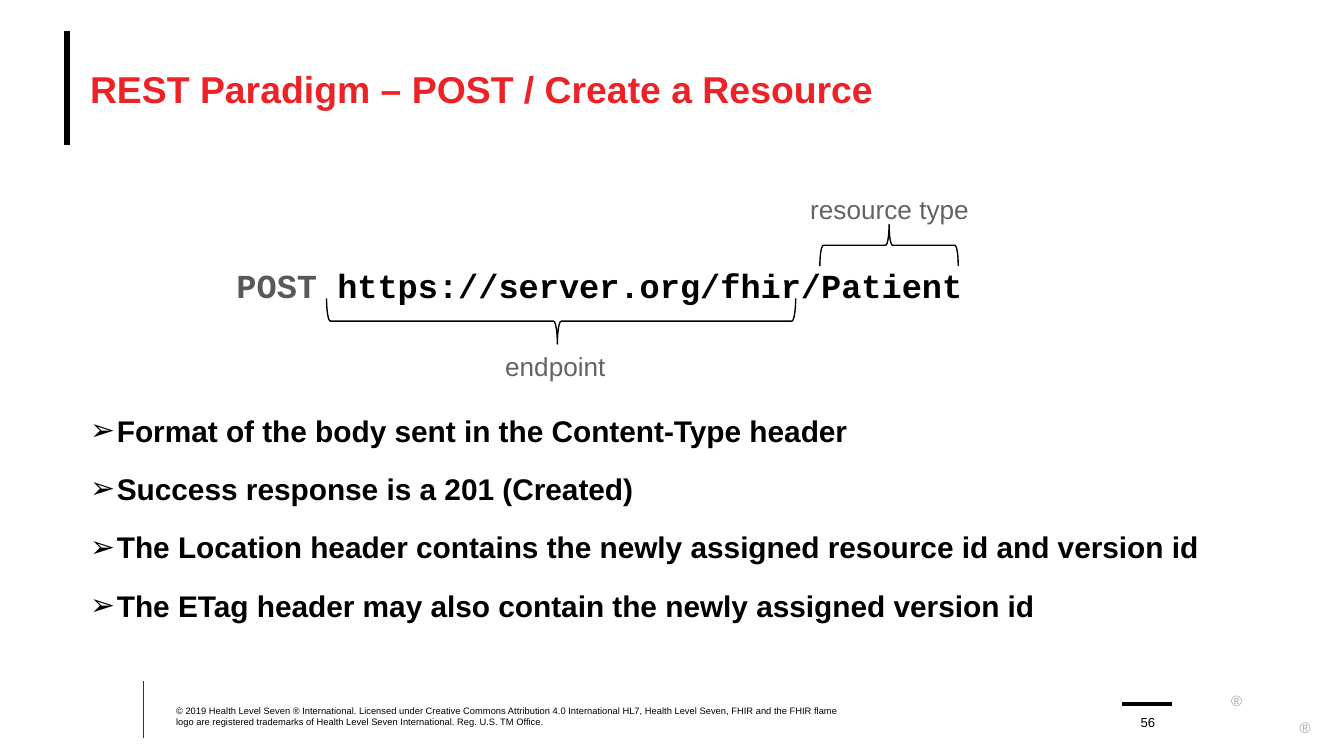
from dataclasses import dataclass

from lxml.etree import SubElement
from pptx import Presentation
from pptx.dml.color import RGBColor
from pptx.enum.shapes import MSO_CONNECTOR, MSO_SHAPE
from pptx.enum.text import MSO_ANCHOR, PP_ALIGN
from pptx.oxml.ns import qn
from pptx.util import Inches, Pt


@dataclass(frozen=True)
class Theme:
    sans: str = "Arial"
    mono: str = "Courier New"
    black: str = "000000"
    red: str = "EC2227"
    verb_gray: str = "595959"
    label_gray: str = "636360"
    mark_gray: str = "A6A6A6"
    rule_brown: str = "3D3029"
    title_size: float = 20
    request_size: float = 18
    bullet_size: float = 16
    label_size: float = 14
    mark_size: float = 8
    number_size: float = 7
    legal_size: float = 5


THEME = Theme()

BULLETS = (
    "Format of the body sent in the Content-Type header",
    "Success response is a 201 (Created)",
    "The Location header contains the newly assigned resource id and version id",
    "The ETag header may also contain the newly assigned version id",
)
LEGAL = (
    "© 2019 Health Level Seven ® International. Licensed under Creative Commons "
    "Attribution 4.0 International HL7, Health Level Seven, FHIR and the FHIR flame "
    "logo are registered trademarks of Health Level Seven International. "
    "Reg. U.S. TM Office."
)


def add_text_frame(slide, box, inset_x=0, inset_y=0, **frame_format):
    frame = slide.shapes.add_textbox(*map(Inches, box)).text_frame
    settings = {
        "word_wrap": True,
        "margin_left": Inches(inset_x),
        "margin_right": Inches(inset_x),
        "margin_top": Inches(inset_y),
        "margin_bottom": Inches(inset_y),
        **frame_format,
    }
    for name, value in settings.items():
        setattr(frame, name, value)
    return frame


def add_run(paragraph, text, size, color, font=THEME.sans, bold=False):
    run = paragraph.add_run()
    run.text = text
    for name, value in {"name": font, "size": Pt(size), "bold": bold}.items():
        setattr(run.font, name, value)
    run.font.color.rgb = RGBColor.from_string(color)


def add_rule(slide, start, end, width, color=THEME.black):
    rule = slide.shapes.add_connector(
        MSO_CONNECTOR.STRAIGHT, *map(Inches, (*start, *end)))
    rule.line.width = Pt(width)
    rule.line.color.rgb = RGBColor.from_string(color)
    SubElement(rule._element.spPr, qn("a:effectLst"))


def add_brace(slide, box, rotation, point):
    """Fit a sideways brace into the box it covers on the slide."""
    left, top, span, depth = box
    brace = slide.shapes.add_shape(
        MSO_SHAPE.LEFT_BRACE,
        Inches(left + (span - depth) / 2), Inches(top + (depth - span) / 2),
        Inches(depth), Inches(span))
    brace.rotation = rotation
    brace.adjustments[0] = 0.083
    brace.adjustments[1] = point
    brace.shadow.inherit = False
    brace.fill.background()
    brace.line.width = Pt(0.75)
    brace.line.color.rgb = RGBColor.from_string(THEME.black)


def add_label(slide, box, text):
    frame = add_text_frame(slide, box, 0.1, 0.05, word_wrap=False)
    add_run(frame.paragraphs[0], text, THEME.label_size, THEME.label_gray)


def add_header(slide, box):
    left, top, width, height = box
    add_rule(slide, (left, top), (left, top + height - 0.01), 3.25)
    frame = add_text_frame(slide, (left + 0.17, top, width - 0.17, height),
                           vertical_anchor=MSO_ANCHOR.MIDDLE)
    add_run(frame.paragraphs[0], "REST Paradigm – POST / Create a Resource",
            THEME.title_size, THEME.red, bold=True)


def add_request_diagram(slide, box):
    left, top, width, _ = box
    # Request line
    frame = add_text_frame(slide, (left, top + 0.58, width, 0.31))
    request = frame.paragraphs[0]
    for text, color in (("POST", THEME.verb_gray),
                        (" https://server.org/fhir/Patient", THEME.black)):
        add_run(request, text, THEME.request_size, color, THEME.mono, bold=True)
    # Braces and the parts they name
    add_brace(slide, (left + 0.67, top + 0.83, 3.49, 0.34), 270, 0.492)
    add_label(slide, (left + 1.9, top + 1.17, 0.95, 0.34), "endpoint")
    add_brace(slide, (left + 4.34, top + 0.28, 1.03, 0.31), 90, 0.5)
    add_label(slide, (left + 4.17, top, 1.39, 0.34), "resource type")


def add_bullets(slide, box):
    frame = add_text_frame(slide, box)
    for index, text in enumerate(BULLETS):
        bullet = frame.add_paragraph() if index else frame.paragraphs[0]
        bullet.space_before = Pt(6 if index else 0)
        bullet.space_after = Pt(6)
        properties = bullet._p.get_or_add_pPr()
        properties.set("marL", str(Inches(0.2)))
        properties.set("indent", str(Inches(-0.2)))
        SubElement(properties, qn("a:buFont"), typeface=THEME.sans)
        SubElement(properties, qn("a:buChar"), char="➢")
        add_run(bullet, text, THEME.bullet_size, THEME.black, bold=True)


def add_footer(slide, box):
    left, top, _, _ = box
    # Legal notice
    add_rule(slide, (left, top), (left, top + 0.42), 0.5, THEME.rule_brown)
    notice = add_text_frame(slide, (left + 0.24, top + 0.17, 4.95, 0.17),
                            vertical_anchor=MSO_ANCHOR.BOTTOM)
    add_run(notice.paragraphs[0], LEGAL, THEME.legal_size, THEME.black)
    # Page number
    add_rule(slide, (left + 7.28, top + 0.17), (left + 7.65, top + 0.17), 2)
    number = add_text_frame(slide, (left + 7.32, top + 0.17, 0.3, 0.19),
                            vertical_anchor=MSO_ANCHOR.BOTTOM)
    number.paragraphs[0].alignment = PP_ALIGN.CENTER
    add_run(number.paragraphs[0], "56", THEME.number_size, THEME.black)
    # Registered marks
    for x, y in ((8.09, 0.03), (8.6, 0.23)):
        mark = add_text_frame(slide, (left + x, top + y, 0.1, 0.22),
                              inset_y=0.05, word_wrap=False)
        add_run(mark.paragraphs[0], "®", THEME.mark_size, THEME.mark_gray)


def main():
    deck = Presentation()
    # Widescreen, 16:9
    deck.slide_width = Inches(10)
    deck.slide_height = deck.slide_width * 9 // 16
    slide = deck.slides.add_slide(deck.slide_layouts[6])
    add_header(slide, (0.5, 0.23, 9.17, 0.86))
    add_request_diagram(slide, (1.76, 1.39, 5.7, 1.51))
    add_bullets(slide, (0.67, 3.07, 9, 1.09))
    add_footer(slide, (1.07, 5.07, 8.7, 0.42))
    deck.save("out.pptx")


if __name__ == "__main__":
    main()
